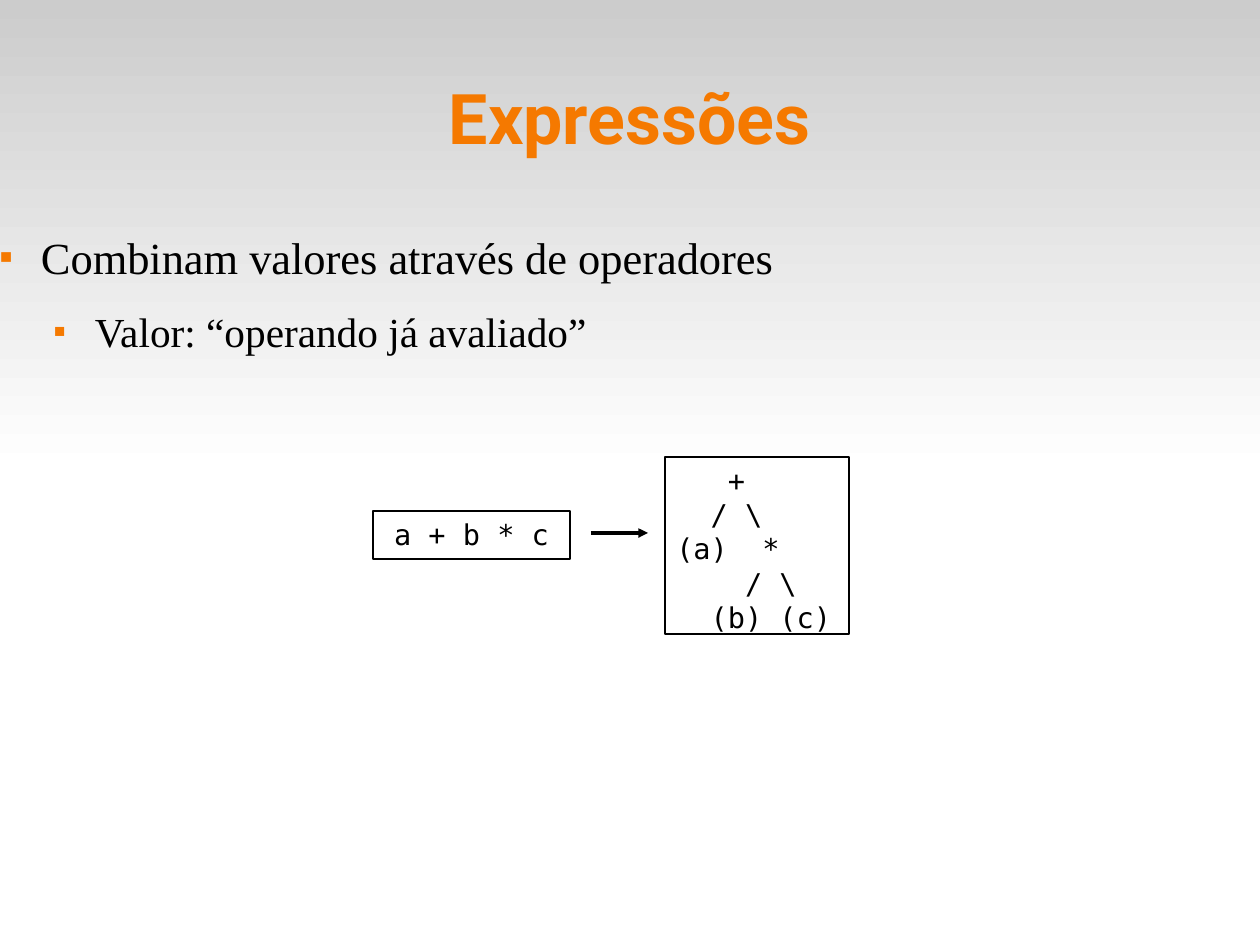
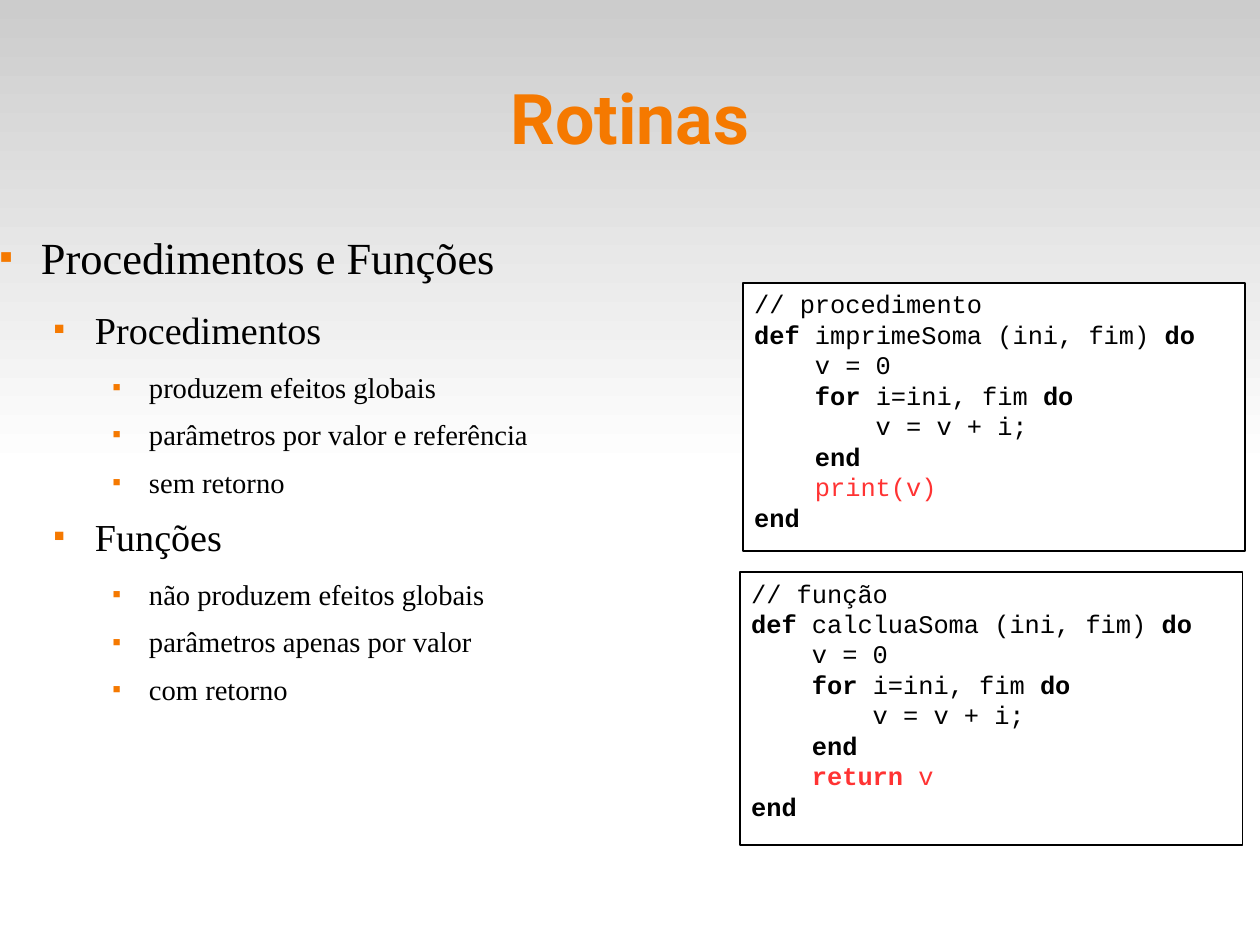
from itertools import groupby

from lxml.etree import SubElement
from pptx import Presentation
from pptx.dml.color import RGBColor
from pptx.enum.shapes import MSO_CONNECTOR, MSO_SHAPE
from pptx.enum.text import MSO_ANCHOR, MSO_AUTO_SIZE, PP_ALIGN
from pptx.oxml.ns import qn
from pptx.util import Emu, Pt

PX = 8000  # EMU in one px
WIDTH, HEIGHT = 1260, 945
ORANGE, BLACK, WHITE, GREY, RED = "F57900", "000000", "FFFFFF", "CCCCCC", "FF3333"
TITLE_FONT, BODY_FONT = "Roboto", "Times New Roman"
TREE_FONT, CODE_FONT = "DejaVu Sans Mono", "Courier New"
TITLE_BOX = (63, 38, 1134, 158)
BODY_BOX = (-13, 230, 1213, 624)
# For each list level: left margin px, hanging px, space after pt
LEVELS = [(54, 41, 14.2), (108, 41, 11.3), (162, 36, 8.5)]
KEYWORDS = {"def", "do", "for", "end", "return"}


def px(*values):
    return [Emu(v * PX) for v in values]


def rgb(hex_text):
    return RGBColor.from_string(hex_text)


def style(r, font, size, color=BLACK, bold=False):
    r.font.name, r.font.size, r.font.bold = font, Pt(size), bold
    r.font.color.rgb = rgb(color)


def add_bullet(p, margin, hanging):
    pPr = p._p.get_or_add_pPr()
    pPr.set("marL", str(margin * PX))
    pPr.set("indent", str(-hanging * PX))
    SubElement(SubElement(pPr, qn("a:buClr")), qn("a:srgbClr"), val=ORANGE)
    SubElement(pPr, qn("a:buSzPct"), val="45000")
    SubElement(pPr, qn("a:buChar"), char="■")


def place(sp, box, anchor):
    """Move a placeholder to a box and clear its insets and autofit."""
    sp.left, sp.top, sp.width, sp.height = px(*box)
    tf = sp.text_frame
    tf.margin_left = tf.margin_top = tf.margin_right = tf.margin_bottom = 0
    tf.vertical_anchor, tf.auto_size, tf.word_wrap = anchor, MSO_AUTO_SIZE.NONE, True
    return tf


def fill_title(sp, box, text):
    p = place(sp, box, MSO_ANCHOR.MIDDLE).paragraphs[0]
    p.text, p.alignment = text, PP_ALIGN.CENTER
    style(p.runs[0], TITLE_FONT, 44, ORANGE, True)


def fill_list(sp, box, items, sizes):
    """Write (level, text) items, with one text size for each level."""
    tf = place(sp, box, MSO_ANCHOR.TOP)
    for i, (level, text) in enumerate(items):
        p = tf.add_paragraph() if i else tf.paragraphs[0]
        margin, hanging, after = LEVELS[level]
        p.text, p.level, p.alignment = text, level, PP_ALIGN.LEFT
        p.space_before, p.space_after = Pt(0), Pt(after)
        add_bullet(p, margin, hanging)
        style(p.runs[0], BODY_FONT, sizes[level])


def add_slide(prs, title, items, sizes):
    s = prs.slides.add_slide(prs.slide_layouts[1])
    fill_title(s.shapes.title, TITLE_BOX, title)
    fill_list(s.placeholders[1], BODY_BOX, items, sizes)
    return s


def add_master_band(prs, s):
    """Draw the gradient band on a slide, then move it behind everything on the master."""
    sp = s.shapes.add_shape(MSO_SHAPE.RECTANGLE, *px(0, 0, WIDTH, HEIGHT // 2))
    sp.shadow.inherit = False
    sp.line.fill.background()
    sp.fill.gradient()
    sp.fill.gradient_angle = 270
    for stop, color, position in zip(sp.fill.gradient_stops, (GREY, WHITE), (0, 1)):
        stop.color.rgb, stop.position = rgb(color), position
    prs.slide_master.shapes._spTree.insert(2, sp._element)


def add_code(s, box, lines, font, size, align=PP_ALIGN.LEFT, red_line=None):
    """Add a framed listing with bold keywords and, if asked, one red line."""
    sp = s.shapes.add_shape(MSO_SHAPE.RECTANGLE, *px(*box))
    sp.shadow.inherit = False
    sp.fill.solid()
    sp.fill.fore_color.rgb = rgb(WHITE)
    sp.line.color.rgb, sp.line.width = rgb(BLACK), Emu(0)
    tf = sp.text_frame
    tf.vertical_anchor, tf.word_wrap = MSO_ANCHOR.TOP, True
    for i, line in enumerate(lines):
        p = tf.add_paragraph() if i else tf.paragraphs[0]
        p.alignment = align
        groups = [(bold, " ".join(words)) for bold, words
                  in groupby(line.split(" "), lambda word: word in KEYWORDS)]
        for j, (bold, text) in enumerate(groups):
            r = p.add_run()
            before = " " if j and not bold else ""
            after = " " if j < len(groups) - 1 and not bold else ""
            r.text = before + text + after
            style(r, font, size, RED if i == red_line else BLACK, bold)


def add_arrow(s, x1, y1, x2, y2):
    line = s.shapes.add_connector(MSO_CONNECTOR.STRAIGHT, *px(x1, y1, x2, y2))
    line.line.color.rgb, line.line.width = rgb(BLACK), Emu(0)
    SubElement(line.line._get_or_add_ln(), qn("a:tailEnd"), type="triangle")
    SubElement(line._element.spPr, qn("a:effectLst"))


def routine(comment, signature, result):
    return [f"// {comment}", f"def {signature} do", "    v = 0",
            "    for i=ini, fim do", "        v = v + i;", "    end",
            f"    {result}", "end"]


def expressions_slide(prs):
    s = add_slide(prs, "Expressões", [
        (0, "Combinam valores através de operadores"),
        (1, "Valor: “operando já avaliado”"),
    ], (28, 26))
    add_code(s, (373, 511, 197, 48), ["a + b * c"], TREE_FONT, 18, PP_ALIGN.CENTER)
    tree = ["   +", "  / \\", "(a)  *", "    / \\", "  (b) (c)"]
    add_code(s, (665, 457, 184, 177), tree, TREE_FONT, 18)
    add_arrow(s, 591, 533, 648, 533)
    return s


def routines_slide(prs):
    s = add_slide(prs, "Rotinas", [
        (0, "Procedimentos e Funções"),
        (1, "Procedimentos"),
        (2, "produzem efeitos globais"),
        (2, "parâmetros por valor e referência"),
        (2, "sem retorno"),
        (1, "Funções"),
        (2, "não produzem efeitos globais"),
        (2, "parâmetros apenas por valor"),
        (2, "com retorno"),
    ], (28, 24, 18))
    listings = [
        ((743, 283, 502, 268), ("procedimento", "imprimeSoma (ini, fim)", "print(v)")),
        ((740, 572, 503, 273), ("função", "calcluaSoma (ini, fim)", "return v")),
    ]
    for box, parts in listings:
        add_code(s, box, routine(*parts), CODE_FONT, 16, red_line=6)


def main():
    prs = Presentation()
    prs.slide_width, prs.slide_height = px(WIDTH, HEIGHT)
    add_master_band(prs, expressions_slide(prs))
    routines_slide(prs)
    prs.save("out.pptx")


if __name__ == "__main__":
    main()
